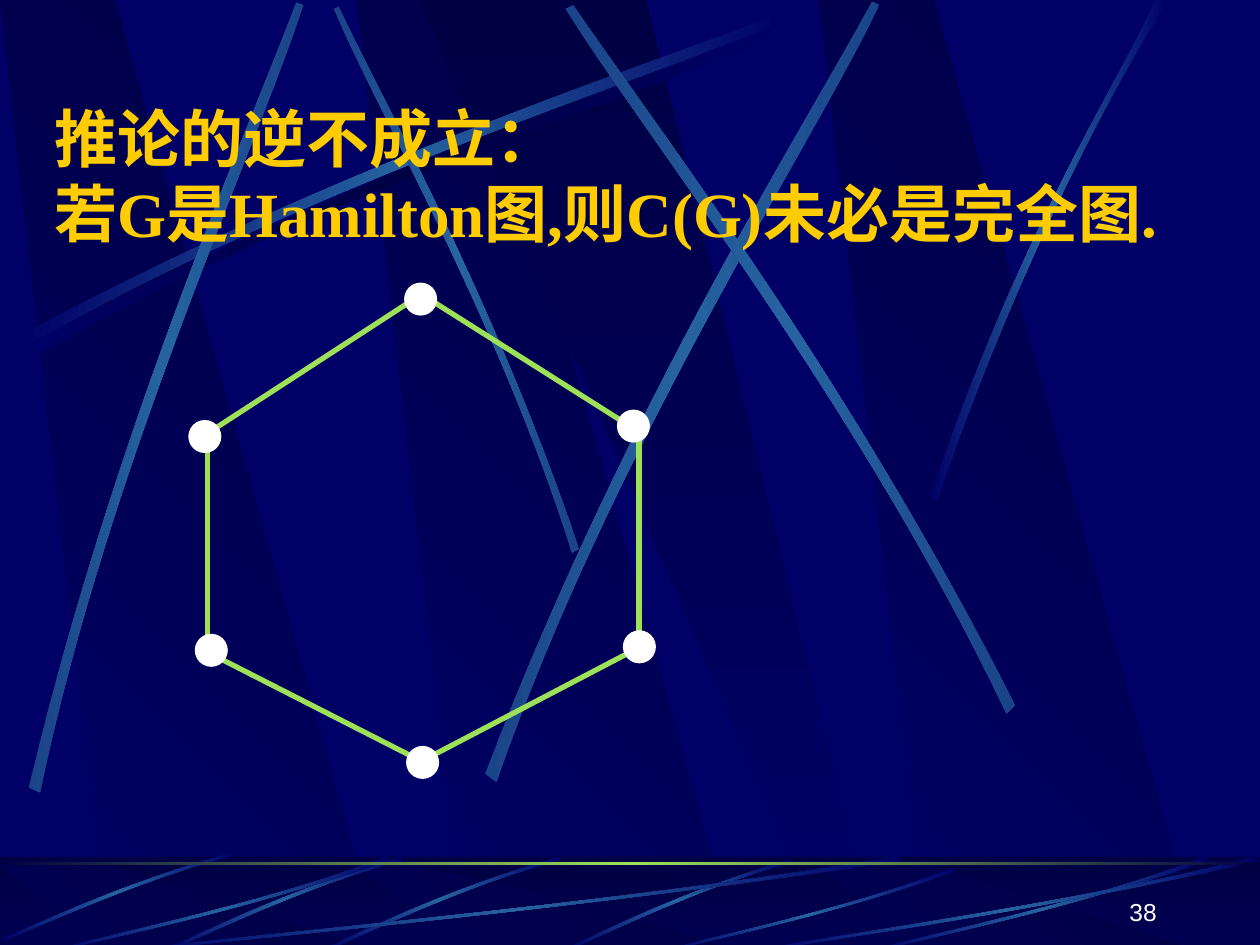
from copy import deepcopy

from lxml.etree import SubElement
from pptx import Presentation
from pptx.dml.color import RGBColor
from pptx.enum.shapes import MSO_CONNECTOR as CONN, MSO_SHAPE as SHAPE
from pptx.enum.text import MSO_ANCHOR as ANCHOR, MSO_AUTO_SIZE as AUTO, PP_ALIGN as ALIGN
from pptx.oxml.ns import qn
from pptx.util import Cm, Pt

NAVY = RGBColor(0x00, 0x00, 0x66)
DARK = RGBColor(0x00, 0x00, 0x44)
STEEL = RGBColor(0x26, 0x63, 0xA0)
DIM_STEEL = RGBColor(0x1A, 0x44, 0x88)
GREEN = RGBColor(0x9C, 0xE1, 0x57)
GOLD = RGBColor(0xFF, 0xCC, 0x00)
WHITE = RGBColor(0xFF, 0xFF, 0xFF)

WIDTH, HEIGHT = 25.4, 19.05
FOOTER = (0, 17.27, WIDTH, 1.91)

# A ribbon is two cubic curves, out and back, of four points each.
LONG_RIBBON = [(0.51, 6.99), (7.21, 3.4), (13.31, 1.5), (15.9, 0.46),
               (15.98, 0.61), (13.41, 1.75), (6.45, 3.84), (0.58, 7.24)]
STEEP_RIBBONS = [
    [(11.68, 11.07), (9.93, 5.94), (7.67, 1.96), (6.83, 0.13),
     (6.73, 0.18), (7.49, 2.01), (10.11, 6.55), (11.53, 11.15)],
    [(0.58, 15.88), (2.36, 8.48), (5, 2.67), (5.97, 0.05),
     (6.12, 0.1), (5.26, 2.77), (2.18, 9.35), (0.81, 15.98)],
    [(9.78, 15.6), (12.65, 8.13), (16.21, 2.59), (17.58, 0.03),
     (17.73, 0.1), (16.48, 2.74), (12.34, 9.02), (10.01, 15.77)],
    [(20.47, 14.22), (17.02, 7.44), (13.11, 2.41), (11.56, 0.1),
     (11.4, 0.18), (12.88, 2.57), (17.4, 8.26), (20.29, 14.4)],
]
RIGHT_RIBBON = [(18.75, 10.01), (20.68, 4.39), (22.56, 1.68), (23.29, 0),
                (23.55, 0), (21.23, 3.68), (19.53, 8.18), (18.9, 10.08)]

# Footer strokes: outlines in a unit box, and the boxes (relative to the footer).
ARC = [(1, 0), (0.54, 0.33), (0.16, 0.8), (0, 0.98),
       (0.01, 1), (0.18, 0.82), (0.6, 0.3), (1, 0.04)]
SWEEP = [(1, 0.04), (0.57, 0.57), (0.17, 0.85), (0.01, 1),
         (0, 0.99), (0.17, 0.81), (0.62, 0.51), (0.99, 0)]
ARC_BOXES = [(11.38, 0.05, 4.57, 1.85), (6.5, 0, 4.78, 1.91),
             (3.33, 0, 4.78, 1.91), (0.03, -0.1, 4.72, 1.8)]
SWEEP_BOXES = [(2.54, 0, 15.67, 1.91), (1.07, 0, 6.78, 1.91), (13.39, 0.23, 5.87, 1.68),
               (17.58, 0, 6.78, 1.91), (15.24, 0, 10.16, 1.91)]

NODE_SIZE = 0.64
NODES = [(4.39, 9.34), (8.76, 7.01), (8.64, 2.56), (4.35, 0), (0, 2.77), (0.13, 7.08)]
EDGES = [((0.38, 3), (0.38, 7.44)), ((4.52, 0.33), (0.46, 2.97)),
         ((9.02, 7.37), (4.85, 9.55)), ((4.7, 0.23), (8.92, 2.9)),
         ((0.38, 7.44), (4.52, 9.55)), ((9.07, 2.77), (9.07, 7.21))]


def fill_gradient(sp, colors, angle=0):
    """Spread the colours evenly along a counter-clockwise angle."""
    sp.shadow.inherit = False
    sp.line.fill.background()
    sp.fill.gradient()
    sp.fill.gradient_angle = angle
    stops = sp._element.spPr.find(qn("a:gradFill")).find(qn("a:gsLst"))
    while len(stops) < len(colors):
        stops.append(deepcopy(stops[-1]))
    for i, (stop, color) in enumerate(zip(sp.fill.gradient_stops, colors)):
        stop.color.rgb = color
        stop.position = i / (len(colors) - 1)


def add_outline(shapes, points):
    start, *rest = [(Cm(x), Cm(y)) for x, y in points]
    builder = shapes.build_freeform(*start)
    builder.add_line_segments(rest)
    return builder.convert_to_shape()


def bend_sides(sp):
    """Turn the two long sides of an eight-point outline into cubic curves."""
    outline = next(sp._element.iter(qn("a:path")))
    sides = outline.findall(qn("a:lnTo"))
    for side in (sides[:3], sides[4:7]):
        curve = SubElement(outline, qn("a:cubicBezTo"))
        side[0].addprevious(curve)
        for segment in side:
            curve.append(segment[0])
            outline.remove(segment)


def add_ribbon(shapes, points, box, mid=STEEL, end=NAVY):
    """Draw a ribbon given in units of the box size."""
    left, top, width, height = box
    sp = add_outline(shapes, [(left + x * width, top + y * height) for x, y in points])
    bend_sides(sp)
    fill_gradient(sp, (end, mid, end))


def add_rect(shapes, left, top, width, height):
    sp = shapes.add_shape(SHAPE.RECTANGLE, Cm(left), Cm(top), Cm(width), Cm(height))
    sp.shadow.inherit = False
    sp.line.fill.background()
    return sp


def add_bands(shapes, left, top, height):
    """Three slanted bands and a wedge between two levels."""
    bottom = top + height
    for x in (left + 7.19, left, left + 16.51):
        band = add_outline(shapes, [(x + 2.18, bottom), (x + 7.67, bottom),
                                    (x + 2.31, top), (x, top)])
        fill_gradient(band, (NAVY, DARK), 45)
    x = left + 8.46
    wedge = add_outline(shapes, [(x, top), (x + 8.26, bottom),
                                 (x + 9.17, bottom), (x + 4.57, top)])
    fill_gradient(wedge, (DARK, NAVY), 270)


def add_backdrop(shapes, left, top, height):
    add_bands(shapes, left, top, height)
    add_ribbon(shapes, LONG_RIBBON, (left, top, 1, 1), mid=DARK)
    add_ribbon(shapes, LONG_RIBBON, (left - 0.15, top - 0.2, 1, 1))
    for ribbon in STEEP_RIBBONS:
        add_ribbon(shapes, ribbon, (left, top, 1, 1), end=DIM_STEEL)
    add_ribbon(shapes, RIGHT_RIBBON, (left, top, 1, 1))


def add_footer(shapes, left, top, width, height):
    fill_gradient(add_rect(shapes, left, top, width, height), (DARK, NAVY), 270)
    add_bands(shapes, left, top + 0.2, height - 0.2)
    veil = add_rect(shapes, left, top, width, height)
    veil.fill.solid()
    veil.fill.fore_color.rgb = DARK
    color = veil._element.spPr.find(qn("a:solidFill"))[0]
    SubElement(color, qn("a:alpha"), val="50000")
    for outline, boxes in ((ARC, ARC_BOXES), (SWEEP, SWEEP_BOXES)):
        for x, y, w, h in boxes:
            add_ribbon(shapes, outline, (left + x, top + y, w, h))
    fill_gradient(add_rect(shapes, left, top + 0.1, width, 0.06), (DARK, GREEN, DARK))


def move_to_master(group, master):
    """Put the group behind the master's placeholders, with ids of its own."""
    for i, props in enumerate(group._element.iter(qn("p:cNvPr")), start=100):
        props.set("id", str(i))
    master._element.cSld.spTree.insert(2, group._element)


def add_hexagon(shapes, left, top):
    for (x1, y1), (x2, y2) in EDGES:
        edge = shapes.add_connector(CONN.STRAIGHT, Cm(left + x1), Cm(top + y1),
                                    Cm(left + x2), Cm(top + y2))
        edge.line.color.rgb = GREEN
        edge.line.width = Pt(3)
        SubElement(edge._element.spPr, qn("a:effectLst"))
    for x, y in NODES:
        node = shapes.add_shape(SHAPE.OVAL, Cm(left + x), Cm(top + y),
                                Cm(NODE_SIZE), Cm(NODE_SIZE))
        node.shadow.inherit = False
        node.fill.solid()
        node.fill.fore_color.rgb = WHITE
        node.line.color.rgb = WHITE
        node.line.width = Pt(0.75)


def add_run(p, text, font, size, color, bold=False):
    r = p.add_run()
    r.text = text
    r.font.name, r.font.size, r.font.bold = font, Pt(size), bold
    r.font.color.rgb = color


def place_title(title, left, top, width, height):
    title.left, title.top, title.width, title.height = map(Cm, (left, top, width, height))
    tf = title.text_frame
    tf.word_wrap, tf.auto_size, tf.vertical_anchor = True, AUTO.NONE, ANCHOR.MIDDLE
    p = tf.paragraphs[0]
    p.alignment = ALIGN.LEFT
    add_run(p, "推论的逆不成立：", "Times New Roman", 36, GOLD, True)
    p.add_line_break()
    add_run(p, "若G是Hamilton图,则C(G)未必是完全图.", "Times New Roman", 36, GOLD, True)


def add_page_number(shapes, left, top, width, height):
    tf = shapes.add_textbox(Cm(left), Cm(top), Cm(width), Cm(height)).text_frame
    tf.word_wrap, tf.vertical_anchor = True, ANCHOR.BOTTOM
    p = tf.paragraphs[0]
    p.alignment = ALIGN.RIGHT
    add_run(p, "38", "Arial", 14, WHITE)


def main():
    prs = Presentation()
    prs.slide_width, prs.slide_height = Cm(WIDTH), Cm(HEIGHT)
    master = prs.slide_master
    master.background.fill.solid()
    master.background.fill.fore_color.rgb = NAVY
    slide = prs.slides.add_slide(prs.slide_layouts[5])
    shapes = slide.shapes
    scenery = shapes.add_group_shape()
    add_backdrop(scenery.shapes, 0, 0, HEIGHT)
    add_footer(scenery.shapes, *FOOTER)
    move_to_master(scenery, master)
    add_hexagon(shapes, 3.81, 5.71)
    place_title(shapes.title, 0.84, 1.87, 23.5, 3.3)
    add_page_number(shapes, 18.29, 17.53, 5.28, 1.27)
    prs.save("out.pptx")


if __name__ == "__main__":
    main()
